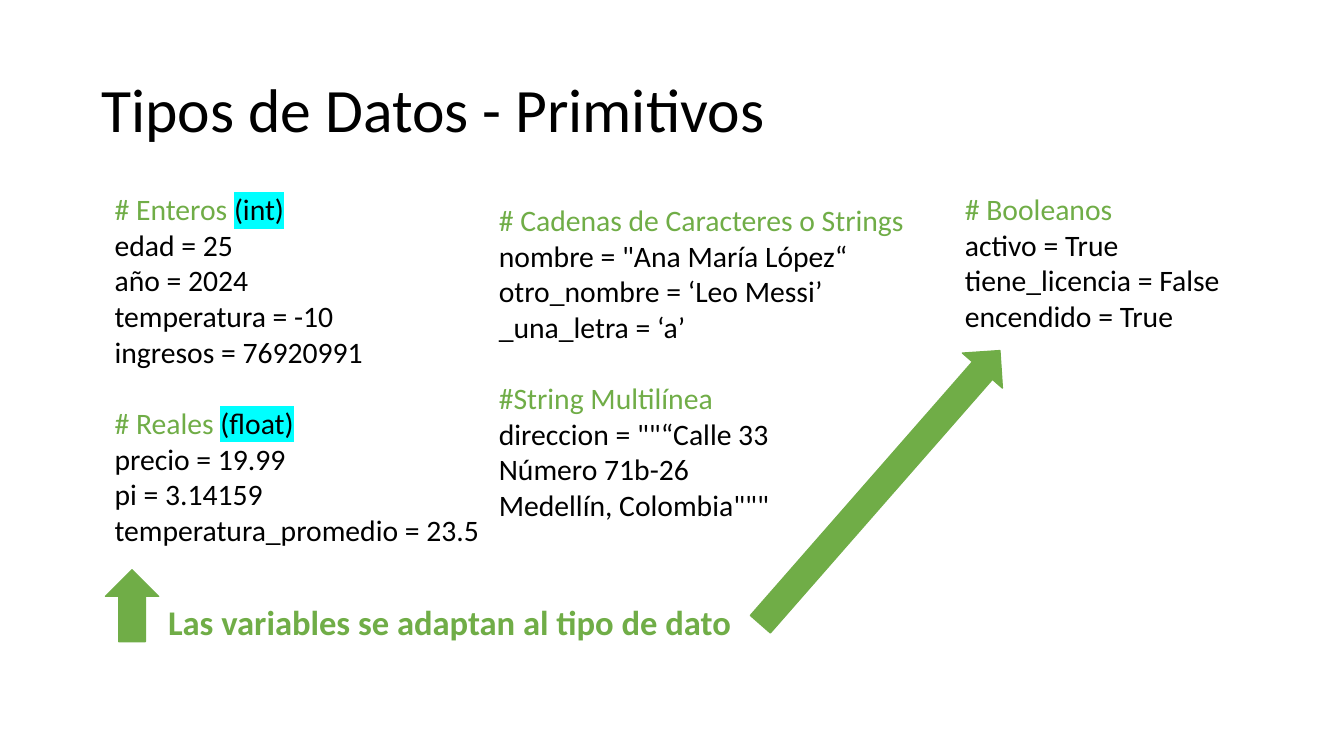
from lxml import etree
from pptx import Presentation
from pptx import util as u
from pptx.dml.color import RGBColor
from pptx.enum import shapes, text
from pptx.oxml.ns import qn

GREEN, BLACK, CYAN = "70AD47", "000000", "00FFFF"


def color(value):
    return RGBColor.from_string(value)


class SlideWriter:
    font = "Calibri"
    code_size = 24
    block_gap = 29

    def __init__(self, slide):
        self.slide = slide

    def style(self, span, size, ink, bold=False, highlight=None):
        span.font.size = u.Pt(size)
        span.font.name = self.font
        span.font.bold = bold
        span.font.color.rgb = color(ink)
        if highlight:
            mark = etree.Element(qn("a:highlight"))
            etree.SubElement(mark, qn("a:srgbClr"), val=highlight)
            span.font._element.find(qn("a:solidFill")).addnext(mark)

    def frame(self, left, top, width, height):
        box = self.slide.shapes.add_textbox(
            u.Inches(left), u.Inches(top), u.Inches(width), u.Inches(height))
        box.text_frame.word_wrap = True
        return box.text_frame

    def title(self, words, *place):
        frame = self.frame(*place)
        frame.vertical_anchor = text.MSO_ANCHOR.MIDDLE
        frame.text = words
        para = frame.paragraphs[0]
        para.line_spacing = 0.9
        self.style(para.runs[0], 49.9, BLACK)

    def caption(self, words, *place):
        frame = self.frame(*place)
        frame.margin_left = frame.margin_right = 0
        frame.margin_top = frame.margin_bottom = 0
        frame.text = words
        self.style(frame.paragraphs[0].runs[0], 28, GREEN, bold=True)

    def code(self, lines, *place):
        """Lines starting with # are green; a type in brackets is highlighted."""
        frame = self.frame(*place)
        frame.text = "\n".join(lines)
        for index, para in enumerate(frame.paragraphs):
            comment = para.text.startswith("#")
            if comment and index:
                para.space_before = u.Pt(self.block_gap)
            label, bracket, kind = para.text.partition("(")
            span = para.runs[0]
            span.text = label
            self.style(span, self.code_size, GREEN if comment else BLACK)
            if bracket:
                span = para.add_run()
                span.text = bracket + kind
                self.style(span, self.code_size, BLACK, highlight=CYAN)

    def arrow(self, left, top, width, height, rotation):
        arrow = self.slide.shapes.add_shape(
            shapes.MSO_SHAPE.RIGHT_ARROW, u.Inches(left), u.Inches(top),
            u.Inches(width), u.Inches(height))
        arrow.rotation = rotation
        arrow.shadow.inherit = False
        arrow.fill.solid()
        arrow.fill.fore_color.rgb = color(GREEN)
        arrow.line.color.rgb = color(GREEN)
        arrow.line.width = u.Pt(1)


def main():
    deck = Presentation()
    deck.slide_width, deck.slide_height = u.Inches(15.11), u.Inches(8.5)
    writer = SlideWriter(deck.slides.add_slide(deck.slide_layouts[6]))

    # Title
    writer.title("Tipos de Datos - Primitivos", 1.04, 0.45, 13.03, 1.64)

    # Numbers
    writer.code([
        "# Enteros (int)",
        "edad = 25",
        "año = 2024",
        "temperatura = -10",
        "ingresos = 76920991",
        "# Reales (float)",
        "precio = 19.99",
        "pi = 3.14159",
        "temperatura_promedio = 23.5",
    ], 1.19, 2.1, 4.51, 4.14)

    # Strings
    writer.code([
        "# Cadenas de Caracteres o Strings",
        'nombre = "Ana María López“',
        "otro_nombre = ‘Leo Messi’",
        "_una_letra = ‘a’",
        "#String Multilínea",
        'direccion = ""“Calle 33',
        "Número 71b-26",
        'Medellín, Colombia"""',
    ], 5.51, 2.22, 4.81, 3.74)

    # Booleans
    writer.code([
        "# Booleanos",
        "activo = True",
        "tiene_licencia = False",
        "encendido = True",
    ], 10.75, 2.1, 3.93, 1.31)

    # Closing remark with its two arrows
    writer.arrow(1.08, 6.51, 0.81, 0.6, 270)
    writer.caption("Las variables se adaptan al tipo de dato", 1.89, 6.76, 6.43, 0.47)
    writer.arrow(7.85, 5.18, 4.09, 0.6, 311.2)

    deck.save("out.pptx")


if __name__ == "__main__":
    main()
